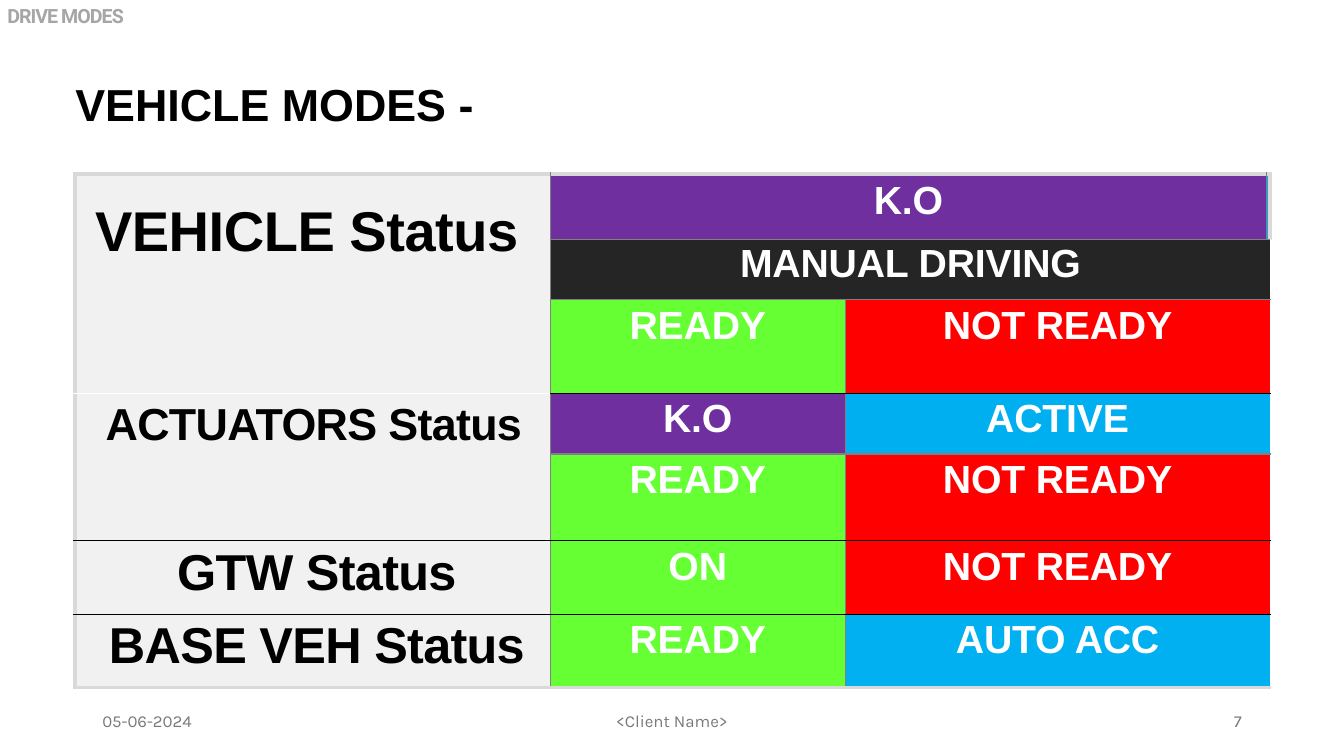
from dataclasses import dataclass

from lxml import etree
from pptx import Presentation
from pptx.dml.color import RGBColor
from pptx.enum.text import MSO_ANCHOR, PP_ALIGN
from pptx.oxml.ns import qn
from pptx.util import Pt

LEFT, CENTER, RIGHT = PP_ALIGN.LEFT, PP_ALIGN.CENTER, PP_ALIGN.RIGHT
TOP, MIDDLE = MSO_ANCHOR.TOP, MSO_ANCHOR.MIDDLE
TITLE_ONLY = 5

COLORS = {
    "black": "000000", "white": "FFFFFF", "footer": "797979", "section": "A6A6A6",
    "label": "F1F1F1", "frame": "D9D9D9", "rule": "808080", "purple": "6F2F9F",
    "charcoal": "252525", "green": "66FF33", "red": "FF0000",
    "blue": "00AFEF", "sky": "00B0F0",
}


@dataclass(frozen=True)
class Style:
    size: float
    color: str
    font: str = "Arial"
    bold: bool = True
    tracking: float = 0


@dataclass(frozen=True)
class Caption:
    text: str
    left: float
    top: float
    width: float
    height: float
    style: Style
    align: PP_ALIGN
    anchor: MSO_ANCHOR = MIDDLE
    side_margin: float = 7.2
    top_margin: float = 3.6


@dataclass(frozen=True)
class Status:
    row: int
    col: int
    text: str
    fill: str
    rows: int = 1
    cols: int = 1
    style: Style = Style(28, "white", tracking=-0.1)
    margin_top: float = 2.9
    margin_left: float = 0
    align: PP_ALIGN = CENTER


@dataclass(frozen=True)
class Border:
    color: str
    width: float


FRAME = Border("frame", 3)
THIN = Border("rule", 0.5)
RULE = Border("rule", 1)
GROUP = Border("black", 0.5)

COLUMN_WIDTHS = [339.84, 210.24, 300.96, 2.16]
ROW_HEIGHTS = [46.4, 43.2, 62.8, 43.2, 62, 52.4, 52.4]
ROW_BORDERS = [FRAME, RULE, RULE, GROUP, RULE, GROUP, GROUP, FRAME]

FOOTER = Style(12, "footer", "Karla", bold=False)
CAPTIONS = [
    Caption("05-06-2024", 66, 500.4, 216, 28.8, FOOTER, LEFT),
    Caption("<Client Name>", 318, 500.4, 324, 28.8, FOOTER, CENTER),
    Caption("7", 678, 500.4, 216, 28.8, FOOTER, RIGHT),
    Caption("DRIVE MODES", 4.5, 0, 426, 45, Style(14, "section", "Roboto", tracking=-0.7),
            LEFT, TOP, side_margin=0.7, top_margin=2.5),
]
TITLE = Caption("VEHICLE MODES -", 34, 51, 426, 41, Style(32, "black"),
                LEFT, TOP, side_margin=19.8, top_margin=4)

WIDE_LABEL = Style(36, "black", tracking=-0.5)
STATUSES = [
    # Row labels
    Status(0, 0, "VEHICLE Status", "label", 3, 1, Style(40, "black", tracking=-0.3),
           19, 14.4, LEFT),
    Status(3, 0, "ACTUATORS Status", "label", 2, 1, Style(32, "black", tracking=-0.5),
           4.3, 1.4),
    Status(5, 0, "GTW Status", "label", 1, 1, WIDE_LABEL, 2.9, 5.8),
    Status(6, 0, "BASE VEH Status", "label", 1, 1, WIDE_LABEL, 2.9, 5.8),
    # Vehicle
    Status(0, 1, "K.O", "purple", cols=2, margin_top=3.6),
    Status(0, 3, "", "blue"),
    Status(1, 1, "MANUAL DRIVING", "charcoal", cols=3, margin_top=2.2),
    Status(2, 1, "READY", "green"),
    Status(2, 2, "NOT READY", "red", cols=2),
    # Actuators
    Status(3, 1, "K.O", "purple", margin_top=2.2),
    Status(3, 2, "ACTIVE", "blue", cols=2, margin_top=2.2),
    Status(4, 1, "READY", "green"),
    Status(4, 2, "NOT READY", "red", cols=2),
    # Gateway and base vehicle
    Status(5, 1, "ON", "green"),
    Status(5, 2, "NOT READY", "red", cols=2),
    Status(6, 1, "READY", "green"),
    Status(6, 2, "AUTO ACC", "sky", cols=2),
]


def rgb(name: str) -> RGBColor:
    return RGBColor.from_string(COLORS[name])


def write(frame, text: str, style: Style, align: PP_ALIGN) -> None:
    frame.text = text
    paragraph = frame.paragraphs[0]
    paragraph.alignment = align
    for run in paragraph.runs:
        run.font.name = style.font
        run.font.size = Pt(style.size)
        run.font.bold = style.bold
        run.font.color.rgb = rgb(style.color)
        if style.tracking:
            run.font._element.set("spc", str(round(style.tracking * 100)))


def fill_caption(shape, caption: Caption) -> None:
    shape.left, shape.top = Pt(caption.left), Pt(caption.top)
    shape.width, shape.height = Pt(caption.width), Pt(caption.height)
    frame = shape.text_frame
    write(frame, caption.text, caption.style, caption.align)
    frame.word_wrap = True
    frame.vertical_anchor = caption.anchor
    frame.margin_left = frame.margin_right = Pt(caption.side_margin)
    frame.margin_top, frame.margin_bottom = Pt(caption.top_margin), Pt(0)
    if caption.anchor == MIDDLE:
        frame.margin_bottom = frame.margin_top


def add_border(cell, side: str, border: Border) -> None:
    line = etree.SubElement(cell._tc.get_or_add_tcPr(), qn(f"a:ln{side}"),
                            w=str(int(Pt(border.width))))
    solid = etree.SubElement(line, qn("a:solidFill"))
    etree.SubElement(solid, qn("a:srgbClr"), val=COLORS[border.color])


def draw_status(table, status: Status) -> None:
    origin = table.cell(status.row, status.col)
    last_row = status.row + status.rows - 1
    last_col = status.col + status.cols - 1
    if status.rows * status.cols > 1:
        origin.merge(table.cell(last_row, last_col))

    # Borders follow the outer edge of the merged area
    for row in range(status.row, last_row + 1):
        for col in range(status.col, last_col + 1):
            cell = table.cell(row, col)
            if col == status.col:
                add_border(cell, "L", FRAME if col == 0 else THIN)
            if col == last_col:
                add_border(cell, "R", FRAME if (row, col) == (0, 3) else THIN)
            if row == status.row:
                add_border(cell, "T", ROW_BORDERS[row])
            if row == last_row:
                add_border(cell, "B", ROW_BORDERS[row + 1])

    origin.fill.solid()
    origin.fill.fore_color.rgb = rgb(status.fill)
    origin.margin_left, origin.margin_top = Pt(status.margin_left), Pt(status.margin_top)
    origin.margin_right = origin.margin_bottom = Pt(0)
    write(origin.text_frame, status.text, status.style, status.align)


def main() -> None:
    prs = Presentation()
    prs.slide_width, prs.slide_height = Pt(960), Pt(540)
    slide = prs.slides.add_slide(prs.slide_layouts[TITLE_ONLY])

    # Title, section name and footer
    fill_caption(slide.shapes.title, TITLE)
    for caption in CAPTIONS:
        fill_caption(slide.shapes.add_textbox(0, 0, 0, 0), caption)

    # Status table
    table = slide.shapes.add_table(
        len(ROW_HEIGHTS), len(COLUMN_WIDTHS), Pt(53.5), Pt(124.5),
        Pt(sum(COLUMN_WIDTHS)), Pt(sum(ROW_HEIGHTS))).table
    table.first_row = table.horz_banding = False
    for column, width in zip(table.columns, COLUMN_WIDTHS):
        column.width = Pt(width)
    for row, height in zip(table.rows, ROW_HEIGHTS):
        row.height = Pt(height)
    for status in STATUSES:
        draw_status(table, status)

    prs.save("out.pptx")


if __name__ == "__main__":
    main()
